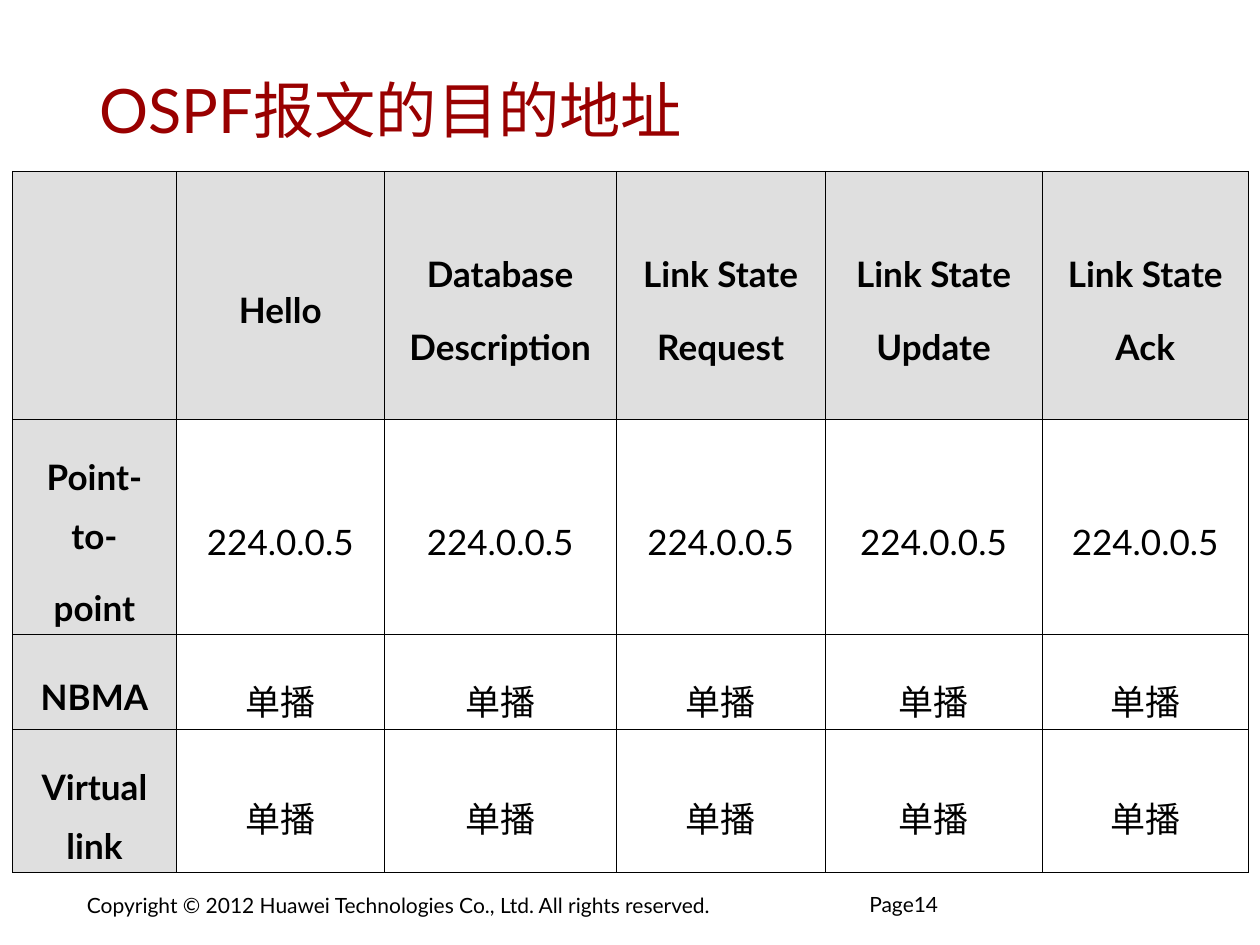
import pptx
import pptx.util
import pptx.dml.color
import pptx.enum.text
import pptx.oxml
import pptx.oxml.ns
from lxml import etree

Inches, Pt = pptx.util.Inches, pptx.util.Pt
RGBColor = pptx.dml.color.RGBColor
MSO_ANCHOR = pptx.enum.text.MSO_ANCHOR
qn = pptx.oxml.ns.qn

FONT = "Lato"
BLACK = RGBColor(0x00, 0x00, 0x00)
DARK_RED = RGBColor(0x99, 0x00, 0x00)
HEADER_GRAY = RGBColor(0xC0, 0xC0, 0xC0)

# Content
TITLE = "OSPF报文的目的地址"
COPYRIGHT = "Copyright © 2012 Huawei Technologies Co., Ltd. All rights reserved."
PAGE = "Page14"
PACKETS = ["Hello", "Database\nDescription", "Link State\nRequest",
           "Link State\nUpdate", "Link State\nAck"]
DESTINATIONS = [
    ("Point-to-\npoint", "224.0.0.5"),
    ("NBMA", "单播"),
    ("Virtual link", "单播"),
]
ROWS = [[""] + PACKETS] + [
    [network] + [address] * len(PACKETS) for network, address in DESTINATIONS
]
COLUMN_WIDTHS = [1.3, 1.65, 1.84, 1.66, 1.72, 1.64]
ROW_HEIGHTS = [1.97, 1.6, 0.75, 1.03]
LINE_SPACING = 1.4
SPACE_BEFORE = Pt(7.5)


def style(paragraph, size, color, bold=False):
    for run in paragraph.runs:
        run.font.name = FONT
        run.font.size = Pt(size)
        run.font.color.rgb = color
        run.font.bold = bold


def add_text(slide, text, box, size, color=BLACK, insets=(0.09, 0.04),
             wrap=True, anchor=MSO_ANCHOR.TOP):
    frame = slide.shapes.add_textbox(*map(Inches, box)).text_frame
    frame.word_wrap = wrap
    frame.vertical_anchor = anchor
    frame.margin_left = frame.margin_right = Inches(insets[0])
    frame.margin_top = frame.margin_bottom = Inches(insets[1])
    frame.text = text
    style(frame.paragraphs[0], size, color)
    return frame


def add_borders(cell):
    properties = cell._tc.get_or_add_tcPr()
    for position, side in enumerate(("lnL", "lnR", "lnT", "lnB")):
        line = etree.Element(qn("a:" + side), w=str(Pt(0.45)))
        fill = etree.SubElement(line, qn("a:solidFill"))
        etree.SubElement(fill, qn("a:srgbClr"), val=str(BLACK))
        properties.insert(position, line)


def fill_header(cell):
    cell.fill.solid()
    cell.fill.fore_color.rgb = HEADER_GRAY
    color = cell._tc.tcPr.find(".//" + qn("a:srgbClr"))
    etree.SubElement(color, qn("a:alpha"), val="50000")


def fill_cell(cell, text, header):
    cell.vertical_anchor = MSO_ANCHOR.MIDDLE
    cell.margin_top = Inches(0.05) + SPACE_BEFORE
    cell.text_frame.text = text
    for index, paragraph in enumerate(cell.text_frame.paragraphs):
        paragraph.alignment = pptx.enum.text.PP_ALIGN.CENTER
        paragraph.line_spacing = LINE_SPACING
        if index:
            paragraph.space_before = SPACE_BEFORE
        style(paragraph, 20, BLACK, bold=header)
    if header:
        fill_header(cell)
    else:
        cell.fill.background()
    add_borders(cell)


def main():
    deck = pptx.Presentation()
    deck.slide_width, deck.slide_height = Inches(10), Inches(7.5)
    slide = deck.slides.add_slide(deck.slide_layouts[6])

    # Footer
    add_text(slide, COPYRIGHT, (0.6, 7.04, 5.5, 0.29), 12, wrap=False)
    page = add_text(slide, PAGE, (6.9, 7.11, 1.66, 0.36), 12, insets=(0, 0))
    page.paragraphs[0].line_spacing = 0.85

    # Title
    add_text(slide, TITLE, (0.7, 0.39, 8.45, 0.95), 35, DARK_RED,
             anchor=MSO_ANCHOR.MIDDLE)

    # Destination addresses by network type and packet
    table = slide.shapes.add_table(
        len(ROWS), len(COLUMN_WIDTHS), Inches(0.1), Inches(1.36),
        Inches(sum(COLUMN_WIDTHS)), Inches(sum(ROW_HEIGHTS))).table
    table.first_row = table.horz_banding = False
    for column, width in zip(table.columns, COLUMN_WIDTHS):
        column.width = Inches(width)
    for row, height in zip(table.rows, ROW_HEIGHTS):
        row.height = Inches(height)
    for r, texts in enumerate(ROWS):
        for c, text in enumerate(texts):
            fill_cell(table.cell(r, c), text, header=r == 0 or c == 0)

    deck.save("out.pptx")


if __name__ == "__main__":
    main()
